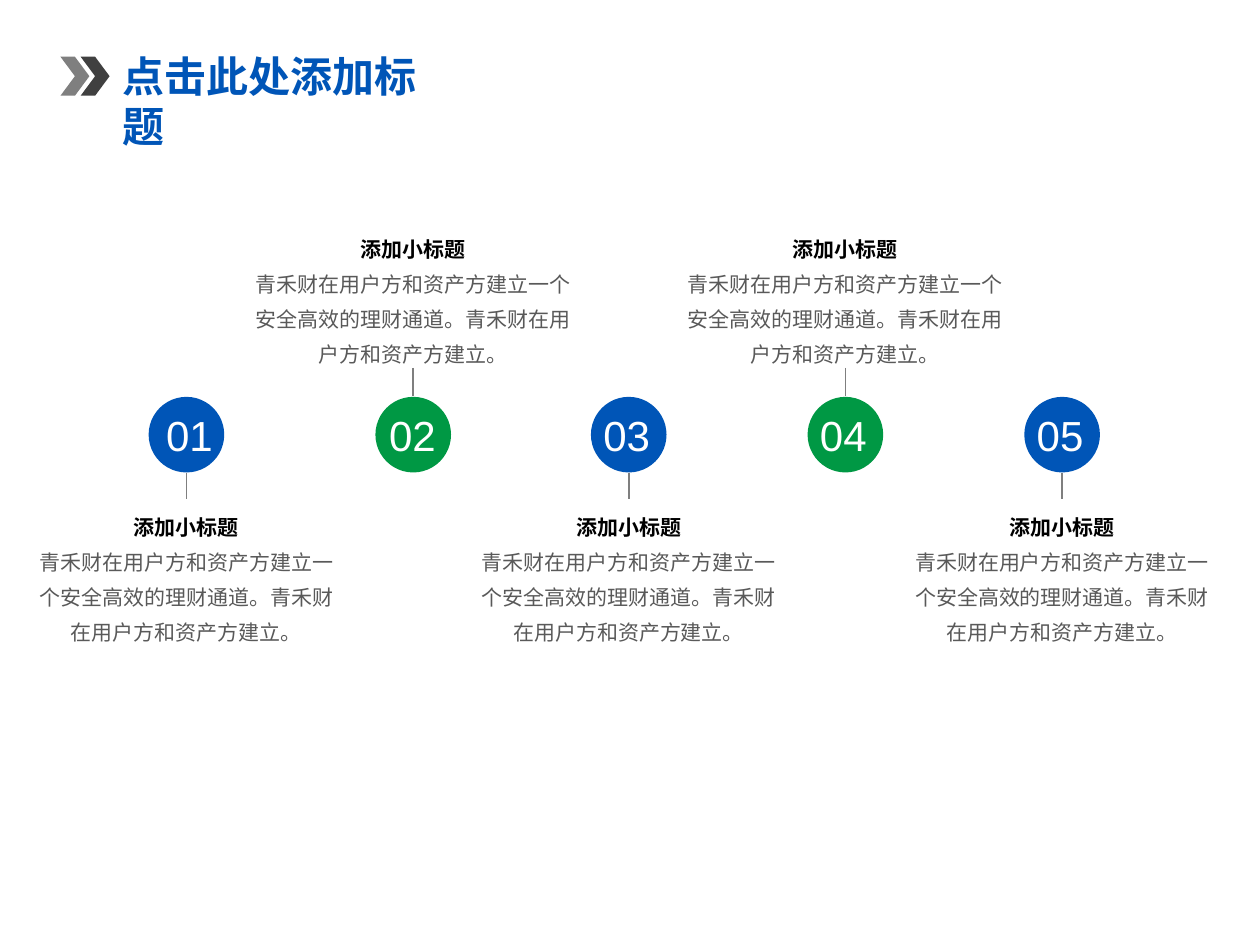
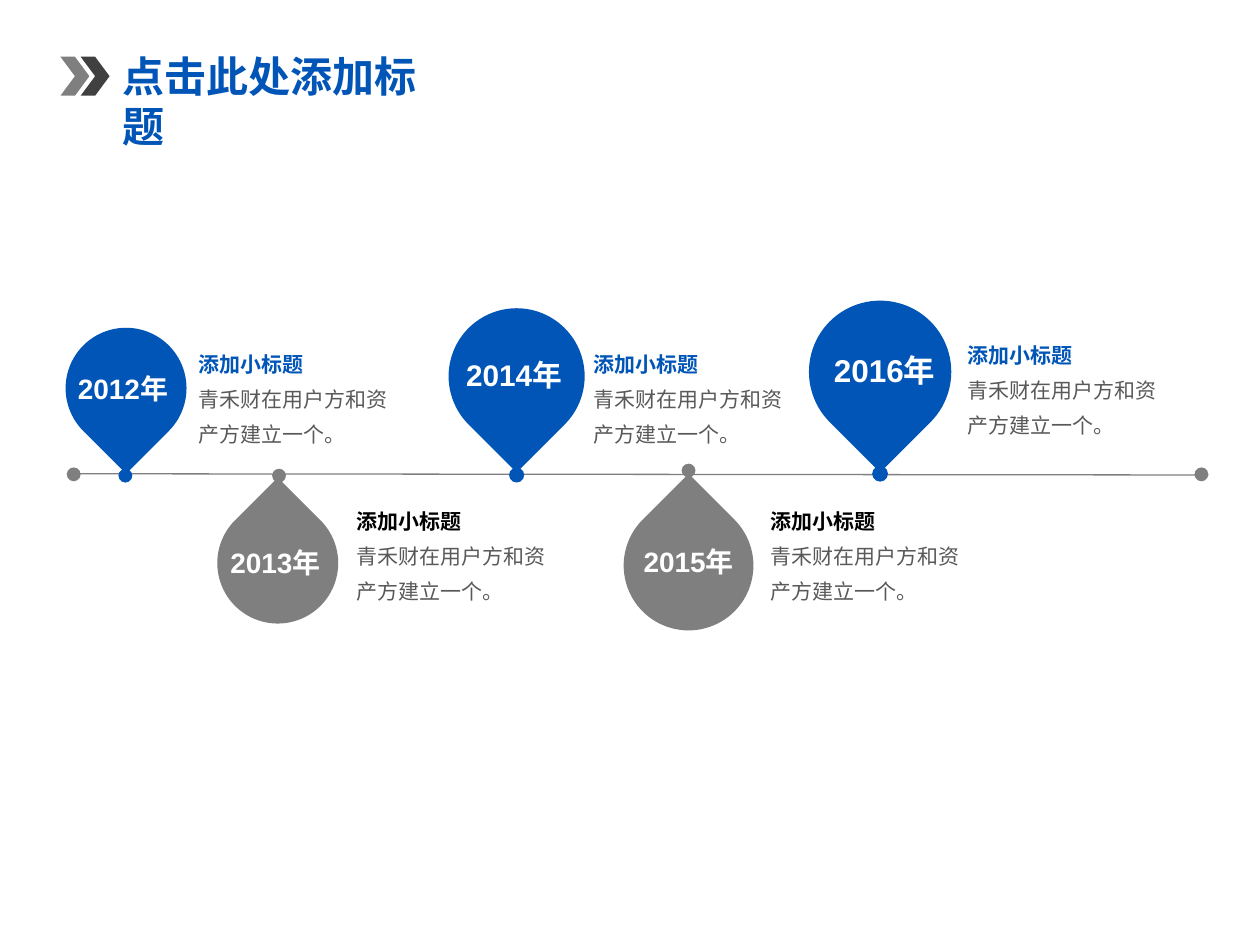
from dataclasses import dataclass
from math import sqrt

from lxml import etree
from pptx import Presentation
from pptx import util as u
from pptx.dml.color import RGBColor
from pptx.enum import shapes, text
from pptx.oxml import ns

BLUE = RGBColor(0x00, 0x55, 0xB7)
GREEN = RGBColor(0x00, 0x98, 0x44)
GREY = RGBColor(0x7F, 0x7F, 0x7F)
DARK = RGBColor(0x40, 0x40, 0x40)
BODY = RGBColor(0x59, 0x59, 0x59)
BLACK = RGBColor(0, 0, 0)
WHITE = RGBColor(0xFF, 0xFF, 0xFF)

LATIN = "Arial"
CJK = "Noto Sans CJK SC"
COLUMNS, ROWS = 100, 75
TITLE = "点击此处添加标题"
SUBTITLE = "添加小标题"
SHORT_BODY = "青禾财在用户方和资产方建立一个。"
LONG_BODY = "青禾财在用户方和资产方建立一个安全高效的理财通道。青禾财在用户方和资产方建立。"


@dataclass
class Step:
    number: str
    center: float
    label_left: float
    above: bool


@dataclass
class Pin:
    year: str
    center: float
    tip: float
    diameter: float
    upward: bool
    dot: tuple      # centre column, centre row, diameter
    label: tuple    # left, top, width, height
    size: int
    wrap: bool
    caption: tuple  # left, top


STEPS = [
    Step("01", 14.8, 12.2, False),
    Step("02", 32.8, 29.9, True),
    Step("03", 49.9, 46.9, False),
    Step("04", 67.1, 64.1, True),
    Step("05", 84.3, 81.3, False),
]

PINS = [
    Pin("2012", 10, 37.6, 9.6, False, (9.95, 37.75, 1.1),
        (5.2, 29, 9.7, 3.7), 16, False, (14.8, 26.6)),
    Pin("2013", 22.05, 37.9, 9.6, True, (22.15, 37.75, 1.1),
        (17.3, 42.8, 9.7, 3.7), 16, False, (27.3, 39.1)),
    Pin("2014", 41, 37.5, 10.8, False, (41, 37.7, 1.2),
        (36, 27.8, 10.2, 3.9), 17, False, (46.1, 26.6)),
    Pin("2015", 54.65, 37.6, 10.3, True, (54.65, 37.35, 1.1),
        (50.1, 42.7, 9.8, 3.7), 16, True, (60.2, 39.1)),
    Pin("2016", 69.85, 37.5, 11.3, False, (69.85, 37.6, 1.25),
        (65.2, 27.4, 10.6, 7), 18, True, (75.8, 25.9)),
]


class Deck:
    """Presentation style and current slide; lengths are grid columns and rows."""

    def __init__(self):
        self.prs = Presentation()
        self.prs.slide_width = u.Inches(10)
        self.prs.slide_height = u.Inches(7.5)
        self.s = None

    def x(self, columns):
        return round(self.prs.slide_width * columns / COLUMNS)

    def y(self, rows):
        return round(self.prs.slide_height * rows / ROWS)

    def box(self, left, top, width, height):
        return self.x(left), self.y(top), self.x(width), self.y(height)

    def new_slide(self, title):
        self.s = self.prs.slides.add_slide(self.prs.slide_layouts[5])
        for left, color in ((4.8, GREY), (6.4, DARK)):
            self.shape(shapes.MSO_SHAPE.CHEVRON, (left, 4.5, 2.3, 3.1), color)
        sp = self.s.shapes.title
        sp.left, sp.top, sp.width, sp.height = self.box(8.7, 3.5, 28.6, 5)
        p = self.frame(sp, wrap=False).paragraphs[0]
        p.alignment = text.PP_ALIGN.LEFT
        self.run(p, title, 24, BLUE, bold=True)

    def frame(self, sp, wrap):
        tf = sp.text_frame
        tf.word_wrap = wrap
        tf.auto_size = text.MSO_AUTO_SIZE.SHAPE_TO_FIT_TEXT
        tf.vertical_anchor = text.MSO_ANCHOR.TOP
        return tf

    def run(self, p, words, size, color, bold=False, font=CJK):
        r = p.add_run()
        r.text = words
        r.font.name = font
        r.font.size = u.Pt(size)
        r.font.bold = bold
        r.font.color.rgb = color
        etree.SubElement(r.font._element, ns.qn("a:ea"), typeface=font)

    def text_box(self, area, wrap=True):
        return self.frame(self.s.shapes.add_textbox(*self.box(*area)), wrap)

    def caption(self, area, body, heading_color, align=text.PP_ALIGN.LEFT):
        tf = self.text_box(area)
        lines = ((tf.paragraphs[0], SUBTITLE, heading_color, True),
                 (tf.add_paragraph(), body, BODY, False))
        for p, words, color, bold in lines:
            p.alignment = align
            p.line_spacing = u.Pt(20)
            self.run(p, words, 12, color, bold)

    def shape(self, kind, area, color, rotation=0):
        sp = self.s.shapes.add_shape(kind, *self.box(*area))
        sp.shadow.inherit = False
        sp.fill.solid()
        sp.fill.fore_color.rgb = color
        sp.line.fill.background()
        sp.rotation = rotation
        return sp

    def disc(self, center, middle, diameter, color,
             kind=shapes.MSO_SHAPE.OVAL, rotation=0):
        area = (center - diameter / 2, middle - diameter / 2, diameter, diameter)
        return self.shape(kind, area, color, rotation)

    def line(self, x1, y1, x2, y2, width):
        c = self.s.shapes.add_connector(
            shapes.MSO_CONNECTOR.STRAIGHT,
            self.x(x1), self.y(y1), self.x(x2), self.y(y2))
        c.line.color.rgb = GREY
        c.line.width = u.Pt(width)
        etree.SubElement(c._element.spPr, ns.qn("a:effectLst"))

    def step(self, step):
        if step.above:
            color, top, width, stem = GREEN, 17.5, 28.1, (29.2, 31.4)
        else:
            color, top, width, stem = BLUE, 39.6, 26.6, (37.5, 39.6)
        self.line(step.center, stem[0], step.center, stem[1], 1)
        self.disc(step.center, 34.5, 6, color)
        p = self.text_box((step.label_left, 32, 5.7, 5), wrap=False).paragraphs[0]
        self.run(p, step.number, 24, WHITE, font=LATIN)
        self.caption((step.center - width / 2, top, width, 12.1),
                     LONG_BODY, BLACK, text.PP_ALIGN.CENTER)

    def pin(self, pin):
        color = GREY if pin.upward else BLUE
        reach = pin.diameter / sqrt(2)
        middle = pin.tip + reach if pin.upward else pin.tip - reach
        self.disc(*pin.dot, color)
        self.disc(pin.center, middle, pin.diameter, color,
                  shapes.MSO_SHAPE.TEAR, 315 if pin.upward else 135)
        p = self.text_box(pin.label, pin.wrap).paragraphs[0]
        self.run(p, pin.year, pin.size, WHITE, True, LATIN)
        self.run(p, "年", pin.size, WHITE, True)
        self.caption((*pin.caption, 17.2, 9.4), SHORT_BODY,
                     BLACK if pin.upward else BLUE)


def main():
    deck = Deck()

    deck.new_slide(TITLE)
    for step in STEPS:
        deck.step(step)

    deck.new_slide(TITLE)
    deck.line(5.3, 37.6, 95.9, 37.7, 0.75)
    for end in (5.85, 95.35):
        deck.disc(end, 37.65, 1.1, GREY)
    for pin in PINS:
        deck.pin(pin)

    deck.prs.save("out.pptx")


if __name__ == "__main__":
    main()
